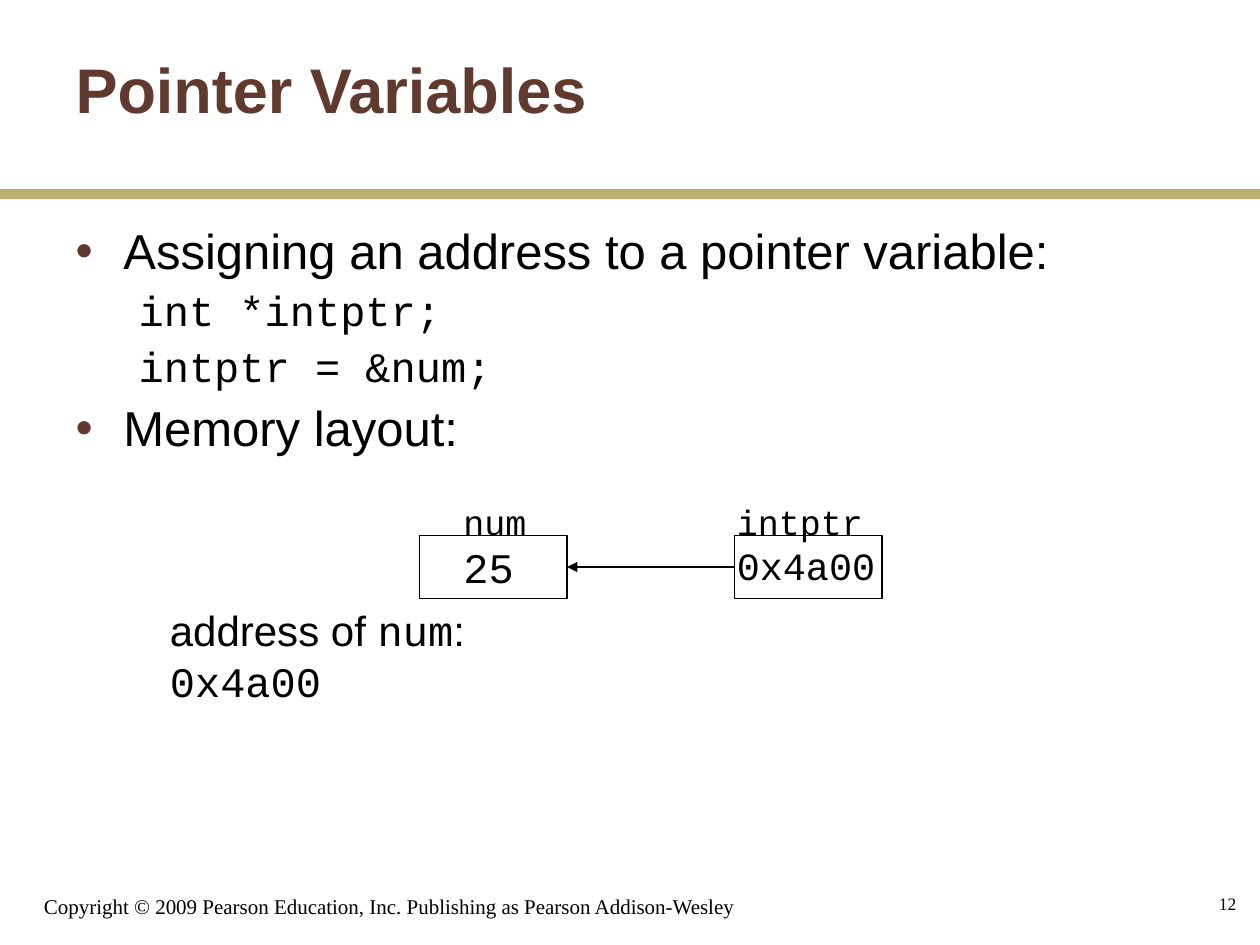
"""Builds a slide on pointer variables with a small memory diagram."""
from lxml import etree
from pptx import Presentation
from pptx.dml.color import RGBColor
from pptx.enum.shapes import MSO_CONNECTOR, MSO_SHAPE
from pptx.enum.text import MSO_ANCHOR, MSO_AUTO_SIZE, PP_ALIGN
from pptx.oxml.ns import qn
from pptx.util import Inches, Pt

RECTANGLE = MSO_SHAPE.RECTANGLE
STRAIGHT = MSO_CONNECTOR.STRAIGHT
TOP, MIDDLE, BOTTOM = MSO_ANCHOR.TOP, MSO_ANCHOR.MIDDLE, MSO_ANCHOR.BOTTOM
LEFT, RIGHT = PP_ALIGN.LEFT, PP_ALIGN.RIGHT
NO_FIT = MSO_AUTO_SIZE.NONE
LEFT_SIDE, RIGHT_SIDE = 1, 3


def color(value):
    return RGBColor.from_string(value)


def add_span(para, text, font="Arial", size=24, ink="000000", bold=False):
    span = para.add_run()
    span.text = text
    span.font.name = font
    span.font.size = Pt(size)
    span.font.bold = bold
    span.font.color.rgb = color(ink)


class PageBuilder:
    sans, mono, serif = "Arial", "Courier New", "Times New Roman"
    black, brown, gold = "000000", "603A2F", "BFAF6F"

    def __init__(self, deck):
        self.page = deck.slides.add_slide(deck.slide_layouts[1])

    def place(self, shape, left, top, width, height):
        shape.left, shape.top = Inches(left), Inches(top)
        shape.width, shape.height = Inches(width), Inches(height)

    def title(self, text, *bounds):
        shape = self.page.shapes.title
        self.place(shape, *bounds)
        frame = shape.text_frame
        frame.auto_size = NO_FIT
        frame.vertical_anchor = MIDDLE
        para = frame.paragraphs[0]
        para.alignment = LEFT
        add_span(para, text, size=36, ink=self.brown, bold=True)

    def body(self, items, *bounds):
        shape = self.page.placeholders[1]
        self.place(shape, *bounds)
        frame = shape.text_frame
        frame.auto_size = NO_FIT
        for index, (text, is_code) in enumerate(items):
            para = frame.add_paragraph() if index else frame.paragraphs[0]
            para.level = int(is_code)
            para.line_spacing = 0.9
            para.space_before = Pt((6 if is_code else 7) if index else 0)
            self.bullet(para, is_code)
            add_span(para, text, font=self.mono if is_code else self.sans,
                     size=24 if is_code else 28)

    def bullet(self, para, is_code):
        margin, hanging = (0.81, 0.31) if is_code else (0.38, 0.38)
        props = para._p.get_or_add_pPr()
        props.set("marL", str(Inches(margin)))
        props.set("indent", str(-Inches(hanging)))
        if is_code:
            etree.SubElement(props, qn("a:buNone"))
            return
        tint = etree.SubElement(props, qn("a:buClr"))
        etree.SubElement(tint, qn("a:srgbClr"), val=self.brown)
        etree.SubElement(props, qn("a:buChar"), char="•")

    def text(self, spans, *bounds, anchor=TOP, align=LEFT, wrap=False):
        box = self.page.shapes.add_textbox(*map(Inches, bounds))
        frame = box.text_frame
        frame.word_wrap = wrap
        frame.vertical_anchor = anchor
        para = frame.paragraphs[0]
        para.alignment = align
        for text, font, size in spans:
            add_span(para, text, font=font, size=size)

    def rectangle(self, *bounds, fill=None, line=None):
        shape = self.page.shapes.add_shape(RECTANGLE, *map(Inches, bounds))
        shape.shadow.inherit = False
        if fill:
            shape.fill.solid()
            shape.fill.fore_color.rgb = color(fill)
        else:
            shape.fill.background()
        if line:
            shape.line.color.rgb = color(line)
            shape.line.width = Pt(0.75)
        else:
            shape.line.fill.background()
        return shape

    def arrow(self, source, target):
        line = self.page.shapes.add_connector(STRAIGHT, 0, 0, 0, 0)
        line.begin_connect(source, LEFT_SIDE)
        line.end_connect(target, RIGHT_SIDE)
        line.line.color.rgb = color(self.black)
        line.line.width = Pt(0.75)
        etree.SubElement(line.line._get_or_add_ln(), qn("a:tailEnd"), type="triangle")
        etree.SubElement(line._element.spPr, qn("a:effectLst"))


def main():
    deck = Presentation()
    deck.slide_width, deck.slide_height = Inches(10), Inches(7.5)
    page = PageBuilder(deck)
    mono, sans, serif = page.mono, page.sans, page.serif

    page.rectangle(0, 1.5, 10, 0.08, fill=page.gold)
    page.title("Pointer Variables", 0.5, 0.08, 8.33, 1.25)
    page.body([
        ("Assigning an address to a pointer variable:", False),
        ("int *intptr;", True),
        ("intptr = &num;", True),
        ("Memory layout:", False),
    ], 0.5, 1.75, 9.08, 4.5)

    cells = []
    for name, value, size, cell_left, text_left, name_width, value_width in (
        ("num", "25", 24, 3.33, 3.58, 0.7, 0.6),
        ("intptr", "0x4a00", 22, 5.83, 5.75, 1.2, 1.3),
    ):
        cells.append(page.rectangle(cell_left, 4.25, 1.17, 0.5, line=page.black))
        page.text([(name, mono, 20)], text_left, 3.92, name_width, 0.44)
        page.text([(value, mono, size)], text_left, 4.25, value_width, 0.5)
    number, pointer = cells
    page.arrow(pointer, number)

    page.text([("address of ", sans, 24), ("num", mono, 24),
               (": ", sans, 24), ("0x4a00", mono, 24)], 1.25, 4.75, 3.83, 0.5)
    page.text([("Copyright © 2009 Pearson Education, Inc. "
                "Publishing as Pearson Addison-Wesley", serif, 12)],
              0.25, 6.92, 6.08, 0.42, anchor=BOTTOM, wrap=True)
    page.text([("12", serif, 10)], 7.83, 6.92, 2.08, 0.5,
              anchor=MIDDLE, align=RIGHT, wrap=True)
    deck.save("out.pptx")


if __name__ == "__main__":
    main()
